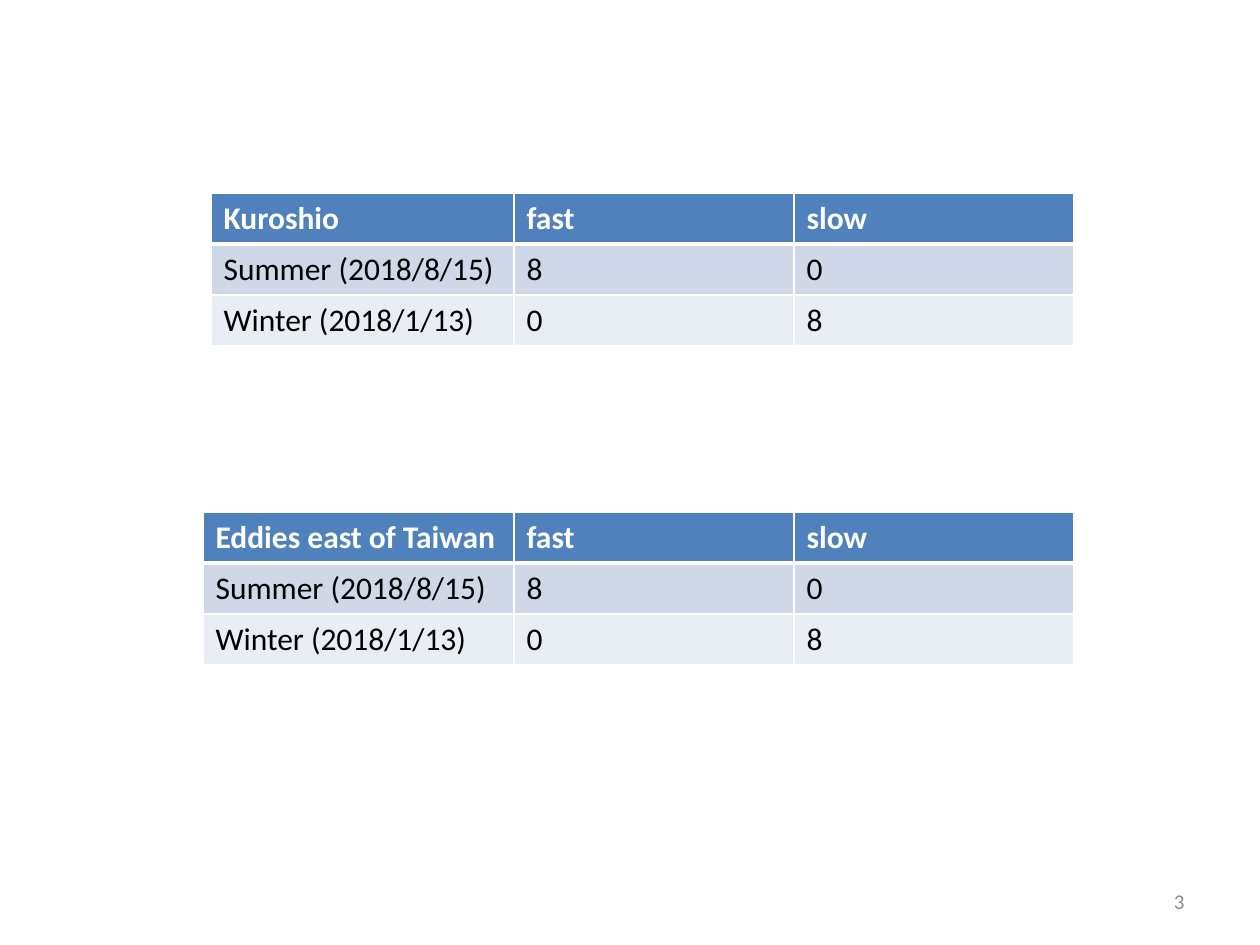
"""Build a slide with two tables of fast and slow counts by season."""
from lxml import etree
from pptx import Presentation
from pptx.dml.color import RGBColor
from pptx.enum.text import MSO_ANCHOR, PP_ALIGN
from pptx.oxml.ns import qn
from pptx.util import Emu, Pt

RIGHT = PP_ALIGN.RIGHT
MIDDLE = MSO_ANCHOR.MIDDLE
BLANK_LAYOUT = 6
PX_PER_INCH = 126
SLIDE_SIZE = (1260, 945)

SEASONS = [("Summer (2018/8/15)", "8", "0"), ("Winter (2018/1/13)", "0", "8")]
TABLES = [
    {"title": "Kuroshio", "left": 211, "top": 193, "label_width": 303},
    {"title": "Eddies east of Taiwan", "left": 203, "top": 512, "label_width": 311},
]
SPEEDS = ("fast", "slow")
SPEED_WIDTH = 280
ROW_HEIGHT = 51
ROW_FILLS = ("4F81BD", "D0D8E8", "E9EDF4")
BORDER_COLOR = "FFFFFF"
THIN, THICK = 1, 3

HEADER_FONT = {"name": "Calibri", "size": Pt(18), "bold": True}
BODY_FONT = {"name": "Calibri", "size": Pt(18), "bold": False}
NUMBER_FONT = {"name": "Calibri", "size": Pt(12), "bold": False}
PAGE_NUMBER = "3"
PAGE_NUMBER_BOX = (903, 876, 294, 50)


def px(length):
    return Emu(round(length * 914400 / PX_PER_INCH))


def color(value):
    return RGBColor.from_string(value)


def write(paragraph, text, font_values, font_color):
    run = paragraph.add_run()
    run.text = text
    for name, value in font_values.items():
        setattr(run.font, name, value)
    run.font.color.rgb = color(font_color)


def add_borders(cell, widths):
    properties = cell._tc.get_or_add_tcPr()
    for side, width in widths.items():
        line = etree.SubElement(properties, qn(f"a:ln{side}"), w=str(Pt(width)))
        fill = etree.SubElement(line, qn("a:solidFill"))
        etree.SubElement(fill, qn("a:srgbClr"), val=BORDER_COLOR)


def add_season_table(slide, title, left, top, label_width):
    rows = [(title, *SPEEDS), *SEASONS]
    widths = [label_width] + [SPEED_WIDTH] * len(SPEEDS)
    frame = slide.shapes.add_table(
        len(rows), len(widths), px(left), px(top),
        px(sum(widths)), px(ROW_HEIGHT * len(rows)))
    table = frame.table
    for column, width in zip(table.columns, widths):
        column.width = px(width)
    for index, (texts, row_fill) in enumerate(zip(rows, ROW_FILLS)):
        table.rows[index].height = px(ROW_HEIGHT)
        header = index == 0
        borders = {"L": THIN, "R": THIN,
                   "T": THICK if index == 1 else THIN,
                   "B": THICK if header else THIN}
        for cell, text in zip(table.rows[index].cells, texts):
            add_borders(cell, borders)
            cell.fill.solid()
            cell.fill.fore_color.rgb = color(row_fill)
            write(cell.text_frame.paragraphs[0], text,
                  HEADER_FONT if header else BODY_FONT,
                  "FFFFFF" if header else "000000")


def add_page_number(slide):
    text_frame = slide.shapes.add_textbox(*map(px, PAGE_NUMBER_BOX)).text_frame
    text_frame.word_wrap = True
    text_frame.vertical_anchor = MIDDLE
    paragraph = text_frame.paragraphs[0]
    paragraph.alignment = RIGHT
    write(paragraph, PAGE_NUMBER, NUMBER_FONT, "8C8C8C")


def main():
    presentation = Presentation()
    presentation.slide_width, presentation.slide_height = map(px, SLIDE_SIZE)
    slide = presentation.slides.add_slide(presentation.slide_layouts[BLANK_LAYOUT])
    add_page_number(slide)
    for values in TABLES:
        add_season_table(slide, **values)
    presentation.save("out.pptx")


if __name__ == "__main__":
    main()
